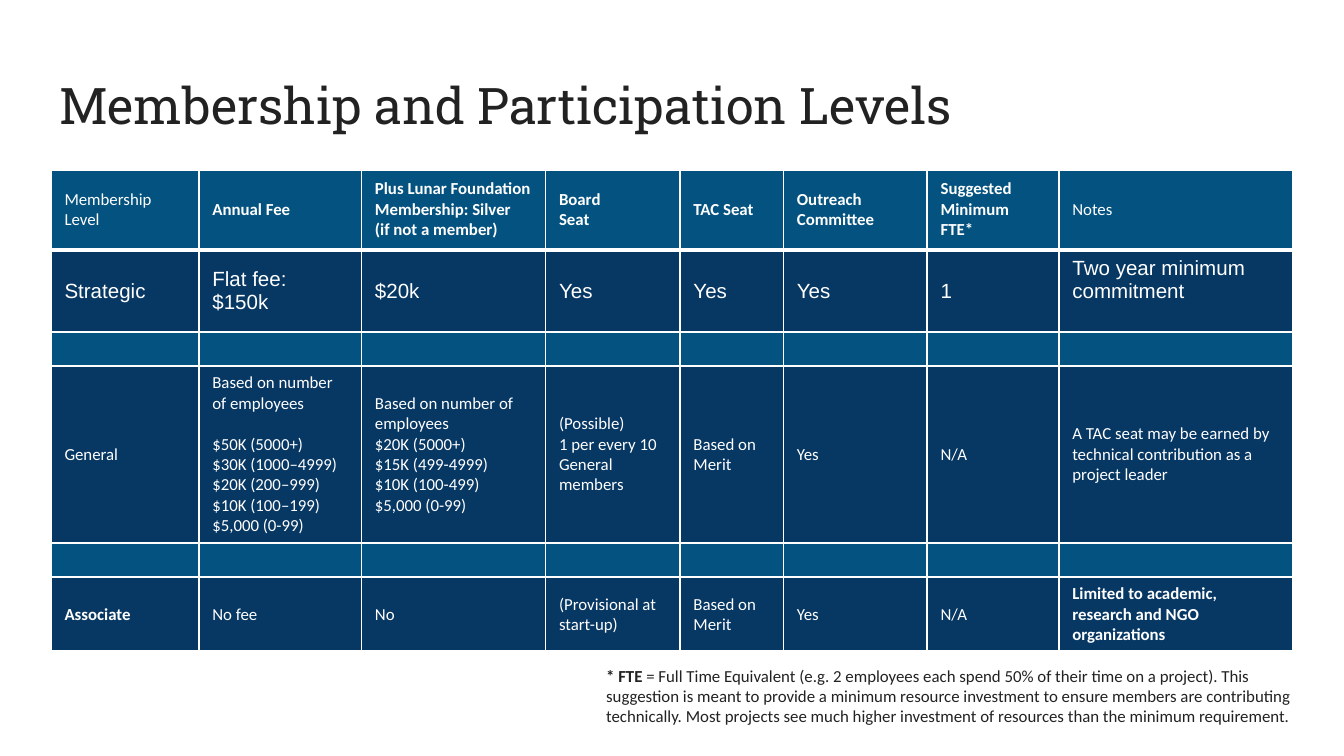
from dataclasses import dataclass

from lxml.etree import SubElement
from pptx import Presentation
from pptx.dml.color import RGBColor
from pptx.enum.text import MSO_ANCHOR as Anchor, PP_ALIGN as Align
from pptx.oxml.ns import qn
from pptx.util import Inches, Pt

SLIDE_WIDTH = 10
SLIDE_HEIGHT = SLIDE_WIDTH * 9 / 16
WHITE = "FFFFFF"
INK = "222222"
TEAL = "045280"
NAVY = "073763"


@dataclass(frozen=True)
class Style:
    font: str = "Calibri"
    size: float = 9
    color: str = WHITE
    bold: bool = False


@dataclass(frozen=True)
class Entry:
    text: str = ""
    style: Style = Style()
    anchor: Anchor = Anchor.MIDDLE
    gap_after_first: float = 0


@dataclass(frozen=True)
class Level:
    height: float
    fill: str
    entries: list[Entry]


BODY = Style()
STRONG = Style(bold=True)
LARGE = Style(font="Arial", size=11)
COLUMNS = [1.1, 1.21, 1.37, 1, 0.77, 1.07, 0.98, 1.74]


def entries(style: Style, *texts: str) -> list[Entry]:
    return [Entry(text, style) for text in texts]


SPACER = Level(0.25, TEAL, entries(BODY, *[""] * len(COLUMNS)))
LEVELS = [
    Level(0.6, TEAL, [
        Entry("Membership Level"),
        *entries(
            STRONG,
            "Annual Fee",
            "Plus Lunar Foundation Membership: Silver\n(if not a member)",
            "Board \vSeat",
            "TAC Seat",
            "Outreach Committee",
            "Suggested Minimum \vFTE*",
        ),
        Entry("Notes"),
    ]),
    Level(0.61, NAVY, [
        *entries(LARGE, "Strategic", "Flat fee: $150k", "$20k", "Yes", "Yes", "Yes", "1"),
        Entry("Two year minimum commitment", LARGE, Anchor.TOP),
    ]),
    SPACER,
    Level(1.32, NAVY, [
        Entry("General"),
        Entry(
            "Based on number of employees\n$50K (5000+)\n$30K (1000–4999)\n"
            "$20K (200–999) $10K (100–199)\n$5,000 (0-99)",
            gap_after_first=11,
        ),
        *entries(
            BODY,
            "Based on number of employees\n$20K (5000+)\v$15K (499-4999)\n"
            "$10K (100-499)\v$5,000 (0-99)",
            "(Possible)\n1 per every 10 General members",
            "Based on Merit",
            "Yes",
            "N/A",
            "A TAC seat may be earned by technical contribution as a project leader",
        ),
    ]),
    SPACER,
    Level(0.54, NAVY, [
        Entry("Associate", STRONG),
        *entries(BODY, "No fee", "No", "(Provisional at start-up)", "Based on Merit", "Yes", "N/A"),
        Entry("Limited to academic, research and NGO organizations", STRONG),
    ]),
]


def rgb(color: str) -> RGBColor:
    return RGBColor.from_string(color)


def format_span(span, style: Style) -> None:
    span.font.name = style.font
    span.font.size = Pt(style.size)
    span.font.bold = style.bold
    span.font.color.rgb = rgb(style.color)


def set_margins(frame, margin: float) -> None:
    frame.margin_left = frame.margin_right = Inches(margin)
    frame.margin_top = frame.margin_bottom = Inches(margin)


def add_border(cell, side: str, width: float) -> None:
    properties = cell._tc.get_or_add_tcPr()
    line = SubElement(properties, qn(f"a:ln{side}"), w=str(Pt(width)))
    fill = SubElement(line, qn("a:solidFill"))
    SubElement(fill, qn("a:srgbClr"), val=WHITE)


def fill_cell(cell, entry: Entry, color: str) -> None:
    cell.fill.solid()
    cell.fill.fore_color.rgb = rgb(color)
    cell.vertical_anchor = entry.anchor
    cell.margin_left = cell.margin_right = Inches(0.1)
    cell.margin_top = cell.margin_bottom = Inches(0.05)
    paras = cell.text_frame.paragraphs
    if not entry.text:
        SubElement(paras[0]._p, qn("a:endParaRPr"), sz=str(entry.style.size * 100))
        return
    cell.text_frame.text = entry.text
    paras = cell.text_frame.paragraphs
    if entry.gap_after_first:
        paras[0].space_after = Pt(entry.gap_after_first)
    for para in paras:
        for span in para.runs:
            format_span(span, entry.style)


def add_levels_table(page) -> None:
    frame = page.shapes.add_table(
        len(LEVELS), len(COLUMNS), Inches(0.38), Inches(1.26),
        Inches(sum(COLUMNS)), Inches(sum(level.height for level in LEVELS)),
    )
    table = frame.table
    table.first_row = table.horz_banding = False
    for column, width in zip(table.columns, COLUMNS):
        column.width = Inches(width)
    last_row, last_column = len(LEVELS) - 1, len(COLUMNS) - 1
    for row, level in enumerate(LEVELS):
        table.rows[row].height = Inches(level.height)
        for column, entry in enumerate(level.entries):
            cell = table.cell(row, column)
            add_border(cell, "L", 0.75 if column == 0 else 1)
            add_border(cell, "R", 0.75 if column == last_column else 1)
            add_border(cell, "T", 2 if row <= 1 else 1)
            add_border(cell, "B", 2 if row in (0, last_row) else 1)
            fill_cell(cell, entry, level.fill)


def add_footnote(page) -> None:
    box = page.shapes.add_textbox(Inches(4.51), Inches(4.95), Inches(5.15), Inches(0.56))
    frame = box.text_frame
    frame.word_wrap = True
    set_margins(frame, 0)
    para = frame.paragraphs[0]
    for text, bold in (
        ("* FTE ", True),
        ("= Full Time Equivalent (e.g. 2 employees each spend 50% of their time on a project). "
         "This suggestion is meant to provide a minimum resource investment to ensure members "
         "are contributing technically. Most projects see much higher investment of resources "
         "than the minimum requirement.", False),
    ):
        span = para.add_run()
        span.text = text
        format_span(span, Style(color=INK, bold=bold))


def set_title(page) -> None:
    title = page.shapes.title
    title.left, title.top = Inches(0.34), Inches(0.45)
    title.width, title.height = Inches(9.32), Inches(0.66)
    frame = title.text_frame
    frame.text = "Membership and Participation Levels"
    frame.vertical_anchor = Anchor.MIDDLE
    set_margins(frame, 0.1)
    para = frame.paragraphs[0]
    para.alignment = Align.LEFT
    format_span(para.runs[0], Style("Roboto Slab", 27, INK))


def main() -> None:
    deck = Presentation()
    deck.slide_width, deck.slide_height = Inches(SLIDE_WIDTH), Inches(SLIDE_HEIGHT)
    page = deck.slides.add_slide(deck.slide_layouts[5])
    set_title(page)
    add_levels_table(page)
    add_footnote(page)
    deck.save("out.pptx")


if __name__ == "__main__":
    main()
